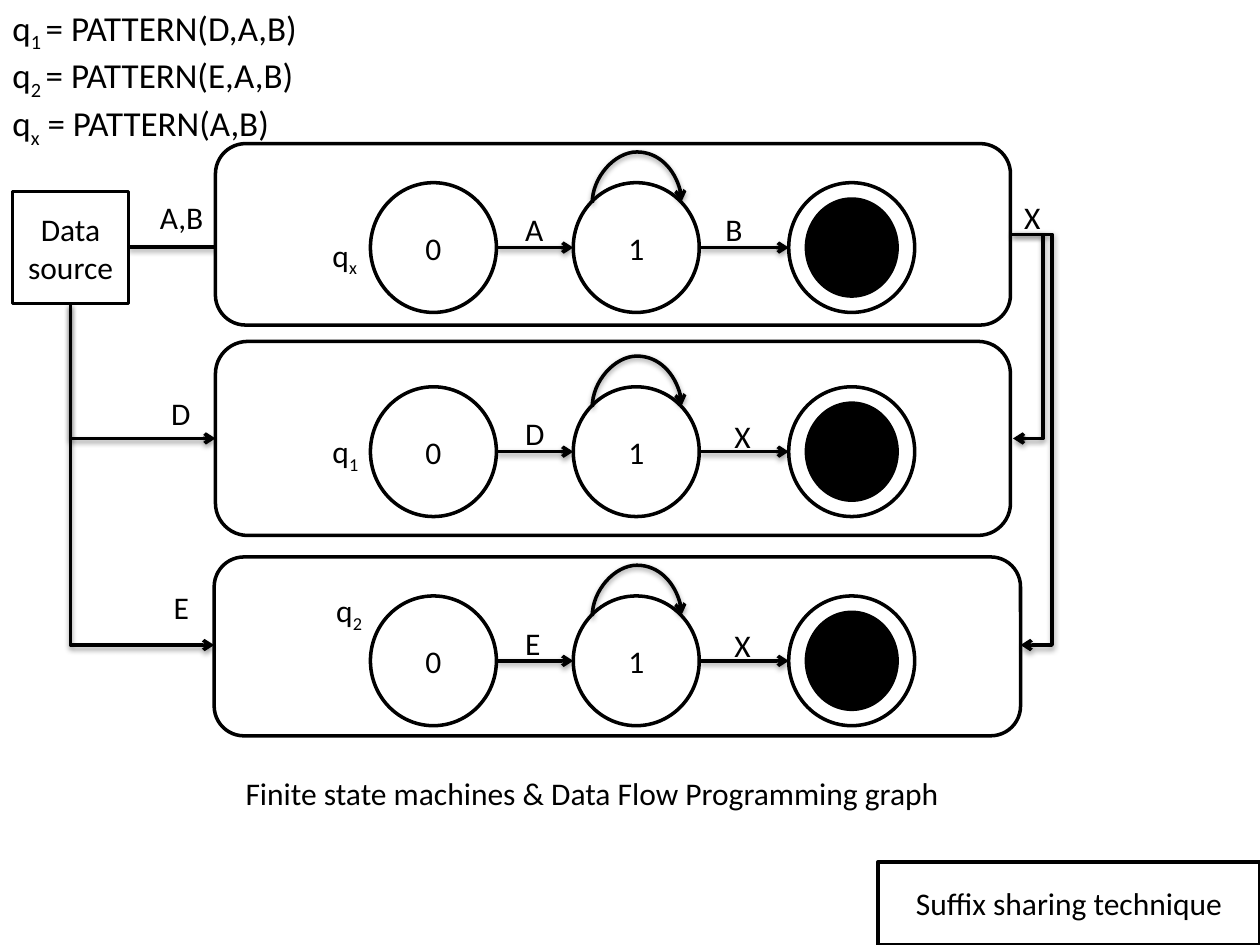
from lxml import etree
from pptx import Presentation
from pptx.dml.color import RGBColor as RGB
from pptx.enum.shapes import MSO_CONNECTOR as Link, MSO_SHAPE as Form
from pptx.enum.text import MSO_ANCHOR as Anchor, MSO_AUTO_SIZE as Fit, PP_ALIGN as Align
from pptx.oxml import parse_xml
from pptx.oxml.ns import nsdecls, qn
from pptx.util import Inches, Pt

INK = {"line": "000000", "fill": "FFFFFF", "text": "000000"}
SHADOW = (
    f'<a:effectLst {nsdecls("a")}><a:outerShdw blurRad="40000" dist="20000" dir="5400000" '
    'rotWithShape="0"><a:srgbClr val="000000"><a:alpha val="38000"/></a:srgbClr>'
    "</a:outerShdw></a:effectLst>"
)


def color(name):
    return RGB.from_string(INK[name])


def write(frame, text, size=18, align=Align.LEFT):
    """Fill a frame; lines split at newlines, and _..._ marks a subscript."""
    for i, line in enumerate(text.split("\n")):
        para = frame.paragraphs[0] if i == 0 else frame.add_paragraph()
        para.alignment = align
        for j, part in enumerate(line.split("_")):
            if not part:
                continue
            run = para.add_run()
            run.text = part
            run.font.name = "Calibri"
            run.font.size = Pt(size)
            run.font.color.rgb = color("text")
            if j % 2:
                run.font._element.set("baseline", "-25000")


class Board:
    """The slide in work and the style its elements share."""

    def __init__(self, slide, width=2):
        self.shapes = slide.shapes
        self.width = Pt(width)

    def stroke(self, item):
        item.line.width = self.width
        item.line.color.rgb = color("line")

    def label(self, text, x, y, w, h=0.41, size=18, wrap=False):
        box = self.shapes.add_textbox(Inches(x), Inches(y), Inches(w), Inches(h))
        box.text_frame.word_wrap = wrap
        box.text_frame.auto_size = Fit.SHAPE_TO_FIT_TEXT
        write(box.text_frame, text, size=size)

    def shape(self, form, x, y, w, h, text="", fill="fill"):
        item = self.shapes.add_shape(form, Inches(x), Inches(y), Inches(w), Inches(h))
        item.shadow.inherit = False
        item.fill.solid()
        item.fill.fore_color.rgb = color(fill)
        self.stroke(item)
        if text:
            item.text_frame.vertical_anchor = Anchor.MIDDLE
            write(item.text_frame, text, align=Align.CENTER)

    def arrow(self, x1, y1, x2, y2, kind=Link.STRAIGHT):
        link = self.shapes.add_connector(kind, Inches(x1), Inches(y1), Inches(x2), Inches(y2))
        self.stroke(link)
        etree.SubElement(link.line._get_or_add_ln(), qn("a:tailEnd"), type="arrow")
        link._element.spPr.append(parse_xml(SHADOW))
        return link

    def bend(self, x1, y1, x2, y2, form, adjust=None, kind=Link.ELBOW, turn=None, flips=()):
        """Arrow with a bend; adjust is a multiple of its width, turn is in degrees."""
        link = self.arrow(x1, y1, x2, y2, kind)
        props = link._element.spPr
        if turn:
            w, h = abs(y2 - y1), abs(x2 - x1)
            link.left, link.top = Inches((x1 + x2 - w) / 2), Inches((y1 + y2 - h) / 2)
            link.width, link.height = Inches(w), Inches(h)
            frame = props.find(qn("a:xfrm"))
            for flip in ("flipH", "flipV"):
                frame.attrib.pop(flip, None)
                if flip in flips:
                    frame.set(flip, "1")
            frame.set("rot", str(turn * 60000))
        shape = props.find(qn("a:prstGeom"))
        shape.set("prst", form)
        if adjust:
            guides = shape.find(qn("a:avLst"))
            if guides is None:
                guides = etree.SubElement(shape, qn("a:avLst"))
            etree.SubElement(guides, qn("a:gd"), name="adj1", fmla=f"val {round(adjust * 100000)}")

    def feed(self, x, y):
        """Arrow from under the data source to the left side of a machine."""
        self.bend(0.56, 2.41, x, y, "bentConnector2", turn=270, flips=("flipH",))

    def result(self, x, y, out):
        """Arrow from the shared machine around to the right side of another."""
        self.bend(8.03, 1.86, x, y, "bentConnector3", adjust=out / (x - 8.03))

    def machine(self, top, first, second, name):
        """States and arrows; each label is given as text, left, top."""
        mid = top + 0.515
        self.shape(Form.OVAL, 2.94, top, 1, 1.03, "0")
        self.arrow(3.94, mid, 4.55, mid)
        self.shape(Form.OVAL, 6.26, top, 1, 1.03)
        self.shape(Form.OVAL, 6.4, top + 0.13, 0.72, 0.77, fill="line")
        self.shape(Form.OVAL, 4.55, top, 1, 1.03, "1")
        self.arrow(5.55, mid, 6.26, mid)
        self.bend(4.7, top + 0.16, 5.41, top + 0.15, "curvedConnector3", adjust=41,
                  kind=Link.CURVE, turn=90, flips=("flipH", "flipV"))
        self.label(first, 4.07, top + 0.17, 0.35)
        for text, x, y in (second, name):
            self.label(text, x, y, 0.41 if "_" in text else 0.34)


def main():
    deck = Presentation()
    deck.slide_width, deck.slide_height = Inches(10), Inches(7.5)
    board = Board(deck.slides.add_slide(deck.slide_layouts[6]))

    patterns = "q_1 _= PATTERN(D,A,B)\nq_2 _= PATTERN(E,A,B)\nq_x_ = PATTERN(A,B)"
    board.label(patterns, 0, 0, 2.59, 1.14, size=20)
    board.arrow(1.02, 1.96, 1.84, 1.96)
    board.shape(Form.RECTANGLE, 0.1, 1.52, 0.92, 0.89, "Data source")
    for x, y, w, h in ((1.71, 1.14, 6.31, 1.44), (1.71, 2.71, 6.31, 1.54), (1.7, 4.42, 6.4, 1.42)):
        board.shape(Form.ROUNDED_RECTANGLE, x, y, w, h)

    board.feed(1.71, 3.48)
    board.feed(1.7, 5.12)
    board.result(8.04, 3.48, 0.25)
    board.result(8.1, 5.12, 0.32)
    for text, x, y, w in (("A,B", 1.17, 1.52, 0.55), ("X", 8.03, 1.52, 0.33),
                          ("D", 1.26, 3.08, 0.36), ("E", 1.28, 4.62, 0.32)):
        board.label(text, x, y, w)

    board.machine(1.45, "A", ("B", 5.66, 1.62), ("q_x_", 2.54, 1.82))
    board.machine(3.07, "D", ("X", 5.73, 3.26), ("q_1_", 2.54, 3.38))
    board.machine(4.73, "E", ("X", 5.73, 4.92), ("q_2_", 2.57, 4.64))

    board.label("Finite state machines & Data Flow Programming graph", 1.85, 6.09, 7.41, 0.71, wrap=True)
    board.shape(Form.RECTANGLE, 6.97, 6.84, 3.03, 0.66, "Suffix sharing technique")
    deck.save("out.pptx")


if __name__ == "__main__":
    main()
